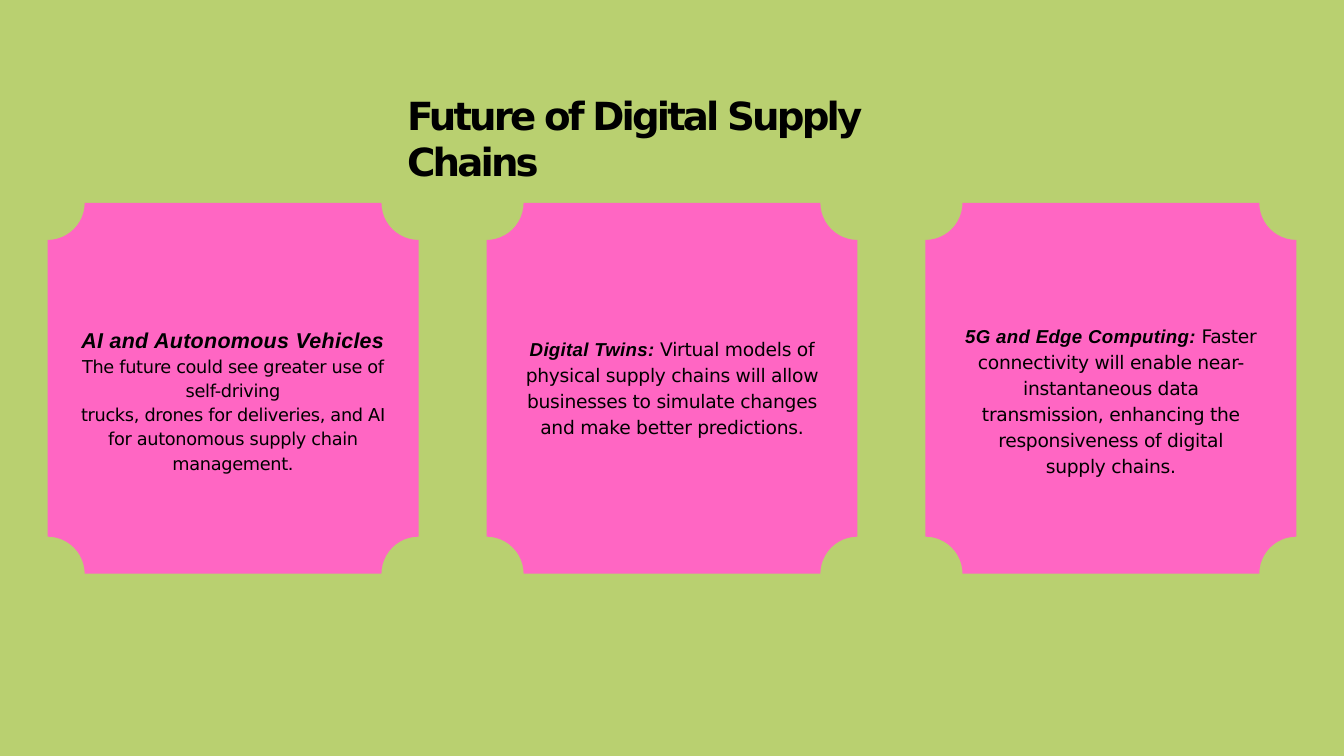
from collections import namedtuple
from dataclasses import dataclass

from pptx import Presentation
from pptx import util as u
from pptx.dml.color import RGBColor
from pptx.enum import shapes, text

Box = namedtuple("Box", "left top width height")
Card = namedtuple("Card", "lead body lead_size body_size leading width height")


@dataclass(frozen=True)
class Theme:
    ground: RGBColor = RGBColor(0xB9, 0xD0, 0x70)
    card: RGBColor = RGBColor(0xFF, 0x66, 0xC3)
    ink: RGBColor = RGBColor(0, 0, 0)
    lead_font: str = "Arial"
    body_font: str = "DejaVu Sans"
    title_size: float = 41.5
    title_tracking: float = -3.1
    lead_tracking: float = 0.3
    body_tracking: float = -0.3


THEME = Theme()

# A newline in a body is a line break
CARDS = [
    Card("AI and Autonomous Vehicles ",
         "The future could see greater use of self-driving\ntrucks, drones for "
         "deliveries, and AI for autonomous supply chain management.",
         23, 19, 1.14, 11.51, 4.83),
    Card("Digital Twins: ",
         "Virtual models of physical supply chains will allow businesses to "
         "simulate changes and make better predictions.",
         20, 20, 1.16, 12.22, 3.99),
    Card("5G and Edge Computing: ",
         "Faster connectivity will enable near-instantaneous data transmission, "
         "enhancing the responsiveness of digital\nsupply chains.",
         20, 20, 1.16, 11.33, 4.95),
]


def lengths(box):
    return [u.Cm(value) for value in box]


def add_span(para, words, font, size, tracking, bold=False, italic=False):
    span = para.add_run()
    span.text = words
    span.font.name = font
    span.font.size = u.Pt(size)
    span.font.bold = bold
    span.font.italic = italic
    span.font.color.rgb = THEME.ink
    span.font._element.set("spc", str(round(tracking * 100)))


def prepare_frame(frame, align, leading):
    """Wrap the text, remove the insets and return the first paragraph."""
    frame.word_wrap = True
    frame.auto_size = text.MSO_AUTO_SIZE.NONE
    frame.vertical_anchor = text.MSO_ANCHOR.TOP
    frame.margin_left = frame.margin_right = frame.margin_bottom = 0
    frame.margin_top = u.Cm(0.03)
    para = frame.paragraphs[0]
    para.alignment = align
    para.line_spacing = leading
    para.space_before = u.Pt(0)
    return para


def place_title(page, box, words):
    title = page.shapes.title
    title.left, title.top, title.width, title.height = lengths(box)
    para = prepare_frame(title.text_frame, text.PP_ALIGN.LEFT, 1.0)
    add_span(para, words, THEME.body_font, THEME.title_size,
             THEME.title_tracking, bold=True)


def place_card(page, box, card):
    # Plaque with scooped corners
    plaque = page.shapes.add_shape(shapes.MSO_SHAPE.PLAQUE, *lengths(box))
    plaque.adjustments[0] = 0.1
    plaque.shadow.inherit = False
    plaque.fill.solid()
    plaque.fill.fore_color.rgb = THEME.card
    plaque.line.fill.background()

    # Text block centred on the plaque
    block = Box(box.left + (box.width - card.width) / 2,
                box.top + (box.height - card.height) / 2 - 0.08,
                card.width, card.height)
    frame = page.shapes.add_textbox(*lengths(block)).text_frame
    para = prepare_frame(frame, text.PP_ALIGN.CENTER, card.leading)
    add_span(para, card.lead, THEME.lead_font, card.lead_size,
             THEME.lead_tracking, bold=True, italic=True)
    for index, line in enumerate(card.body.split("\n")):
        if index:
            para.add_line_break()
        add_span(para, line, THEME.body_font, card.body_size,
                 THEME.body_tracking)


def place_card_row(page, box, cards):
    """Square cards spread with equal gaps over the width of the box."""
    side = box.height
    pitch = (box.width - side) / (len(cards) - 1)
    for index, card in enumerate(cards):
        place_card(page, Box(box.left + index * pitch, box.top, side, side),
                   card)


def main():
    deck = Presentation()
    deck.slide_width, deck.slide_height = u.Cm(50.8), u.Cm(28.58)
    page = deck.slides.add_slide(deck.slide_layouts[5])
    page.background.fill.solid()
    page.background.fill.fore_color.rgb = THEME.ground

    place_title(page, Box(15.39, 3.43, 22.25, 1.83),
                "Future of Digital Supply Chains")
    place_card_row(page, Box(1.8, 7.67, 47.2, 14.02), CARDS)
    deck.save("out.pptx")


if __name__ == "__main__":
    main()
